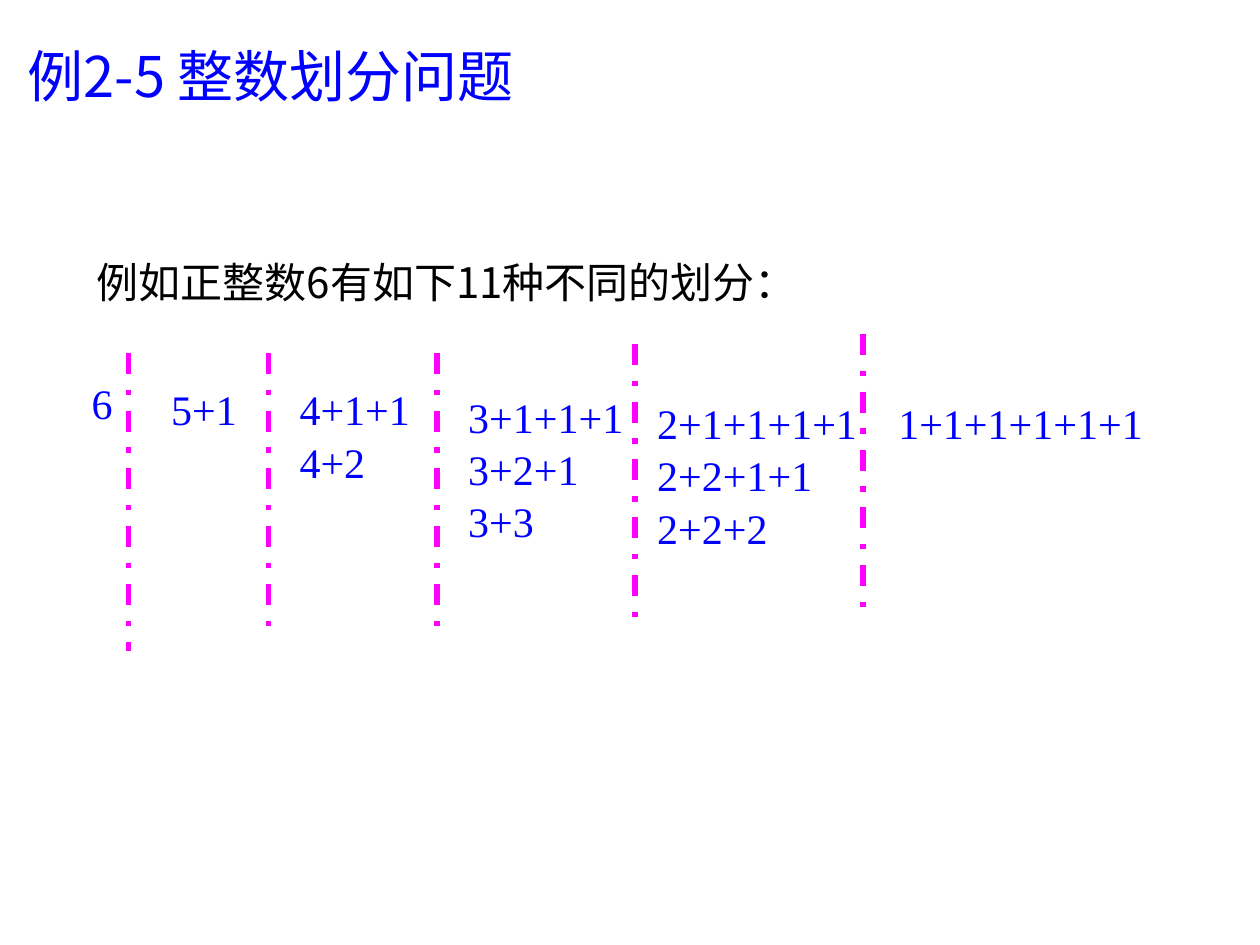
from dataclasses import dataclass
from typing import Optional

from lxml import etree
from pptx import Presentation
from pptx.dml.color import RGBColor
from pptx.enum import dml, shapes, text
from pptx.oxml import ns
from pptx.util import Cm, Pt


@dataclass(frozen=True)
class Theme:
    blue: RGBColor = RGBColor(0x00, 0x00, 0xFF)
    black: RGBColor = RGBColor(0x00, 0x00, 0x00)
    magenta: RGBColor = RGBColor(0xFF, 0x00, 0xFF)
    cjk: str = "Noto Sans CJK SC"
    serif: str = "Times New Roman"
    title_size: int = 32
    text_size: int = 24
    line_width: int = 3


@dataclass(frozen=True)
class Box:
    left: float
    top: float
    width: float
    height: float


@dataclass(frozen=True)
class Divider:
    x: float
    top: float
    bottom: float


@dataclass(frozen=True)
class Column:
    box: Box
    sums: tuple[str, ...]
    divider: Optional[Divider] = None
    wrap: bool = False


THEME = Theme()

COLUMNS = (
    Column(Box(1.6, 7.44, 0.94, 1.27), ("6",), Divider(2.59, 7.11, 13.13)),
    Column(Box(3.2, 7.57, 1.83, 3.3), ("5+1",), Divider(5.41, 7.11, 12.93)),
    Column(Box(5.79, 7.57, 2.77, 3.33), ("4+1+1", "4+2"),
           Divider(8.81, 7.11, 12.93)),
    Column(Box(9.19, 7.72, 3.81, 4.32), ("3+1+1+1", "3+2+1", "3+3"),
           Divider(12.8, 6.93, 12.73), wrap=True),
    Column(Box(13, 7.85, 4.55, 3.3), ("2+1+1+1+1", "2+2+1+1", "2+2+2"),
           Divider(17.4, 6.73, 12.52)),
    Column(Box(17.86, 7.85, 5.46, 1.27), ("1+1+1+1+1+1",)),
)


def format_paragraph(p, font: str, size: int, color: RGBColor) -> None:
    p.alignment = text.PP_ALIGN.LEFT
    p.space_before = Pt(0)
    p.font.name = font
    p.font.size = Pt(size)
    p.font.color.rgb = color
    latin = p._p.pPr.find(".//" + ns.qn("a:latin"))
    ea = etree.Element(ns.qn("a:ea"), typeface=font)
    latin.addnext(ea)


def fill_placeholder(sp, box: Box, words: str, size: int,
                     color: RGBColor) -> None:
    sp.left, sp.top = Cm(box.left), Cm(box.top)
    sp.width, sp.height = Cm(box.width), Cm(box.height)
    tf = sp.text_frame
    tf.text = words
    tf.word_wrap = True
    tf.auto_size = text.MSO_AUTO_SIZE.NONE
    tf.vertical_anchor = text.MSO_ANCHOR.MIDDLE
    format_paragraph(tf.paragraphs[0], THEME.cjk, size, color)


def remove_bullet(p) -> None:
    pPr = p._p.get_or_add_pPr()
    pPr.set("marL", "0")
    pPr.set("indent", "0")
    pPr.find(ns.qn("a:defRPr")).addprevious(etree.Element(ns.qn("a:buNone")))


def draw_sums(slide, column: Column) -> None:
    box = column.box
    sp = slide.shapes.add_textbox(Cm(box.left), Cm(box.top),
                                  Cm(box.width), Cm(box.height))
    tf = sp.text_frame
    tf.text = "\n".join(column.sums)
    tf.word_wrap = column.wrap
    for p in tf.paragraphs:
        format_paragraph(p, THEME.serif, THEME.text_size, THEME.blue)
        p.line_spacing = 1.04


def draw_divider(slide, divider: Divider) -> None:
    line = slide.shapes.add_connector(
        shapes.MSO_CONNECTOR.STRAIGHT, Cm(divider.x), Cm(divider.top),
        Cm(divider.x), Cm(divider.bottom))
    line.line.color.rgb = THEME.magenta
    line.line.width = Pt(THEME.line_width)
    line.line.dash_style = dml.MSO_LINE.DASH_DOT
    etree.SubElement(line._element.spPr, ns.qn("a:effectLst"))


def main() -> None:
    prs = Presentation()
    prs.slide_width, prs.slide_height = Cm(25.4), Cm(19.05)
    slide = prs.slides.add_slide(prs.slide_layouts[1])
    title, body = slide.placeholders
    fill_placeholder(title, Box(0.3, 0.71, 12.19, 1.6),
                     "例2-5 整数划分问题", THEME.title_size, THEME.blue)
    fill_placeholder(body, Box(1.7, 5.05, 14.81, 1.27),
                     "例如正整数6有如下11种不同的划分：",
                     THEME.text_size, THEME.black)
    remove_bullet(body.text_frame.paragraphs[0])
    for column in COLUMNS:
        draw_sums(slide, column)
        if column.divider:
            draw_divider(slide, column.divider)
    prs.save("out.pptx")


if __name__ == "__main__":
    main()
